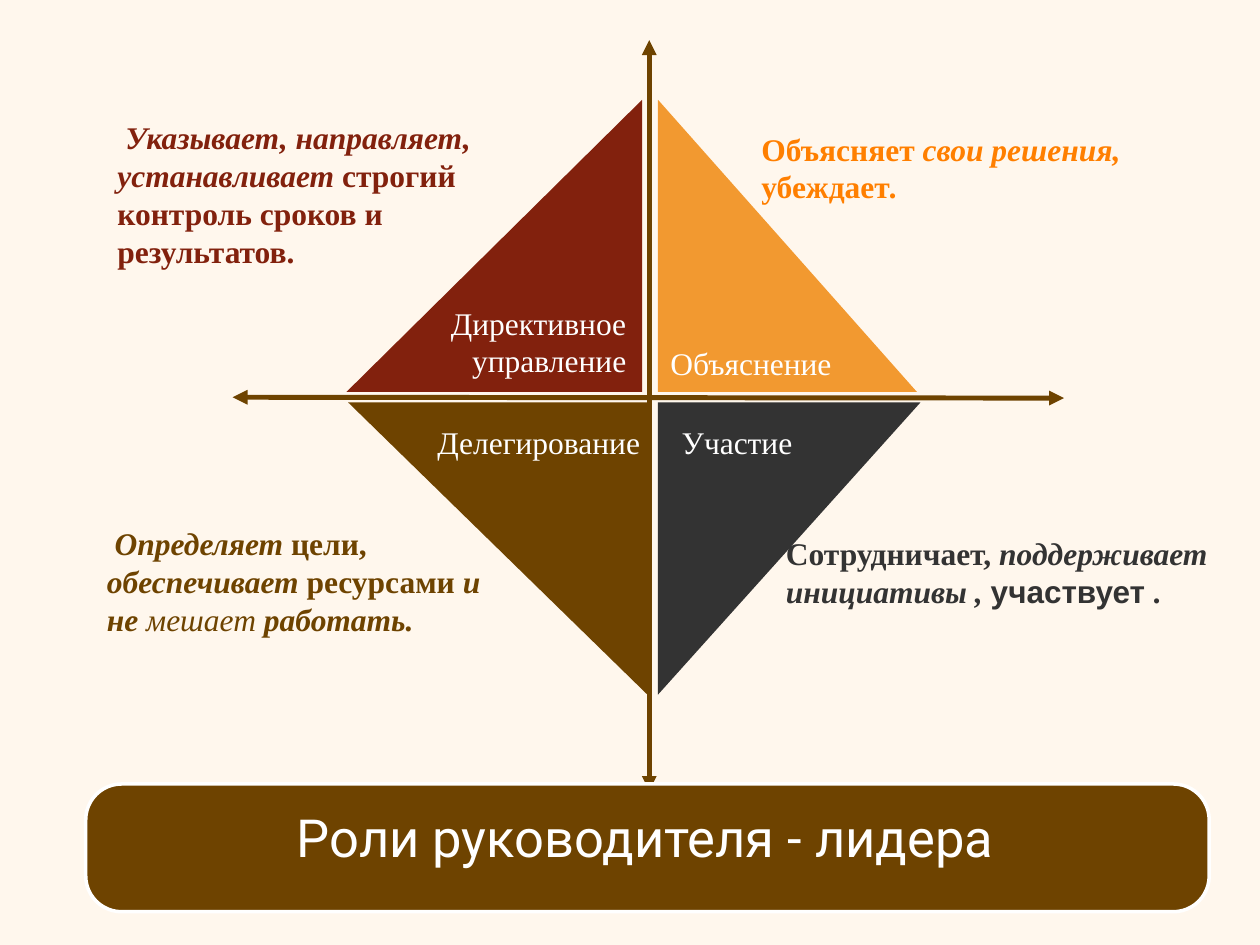
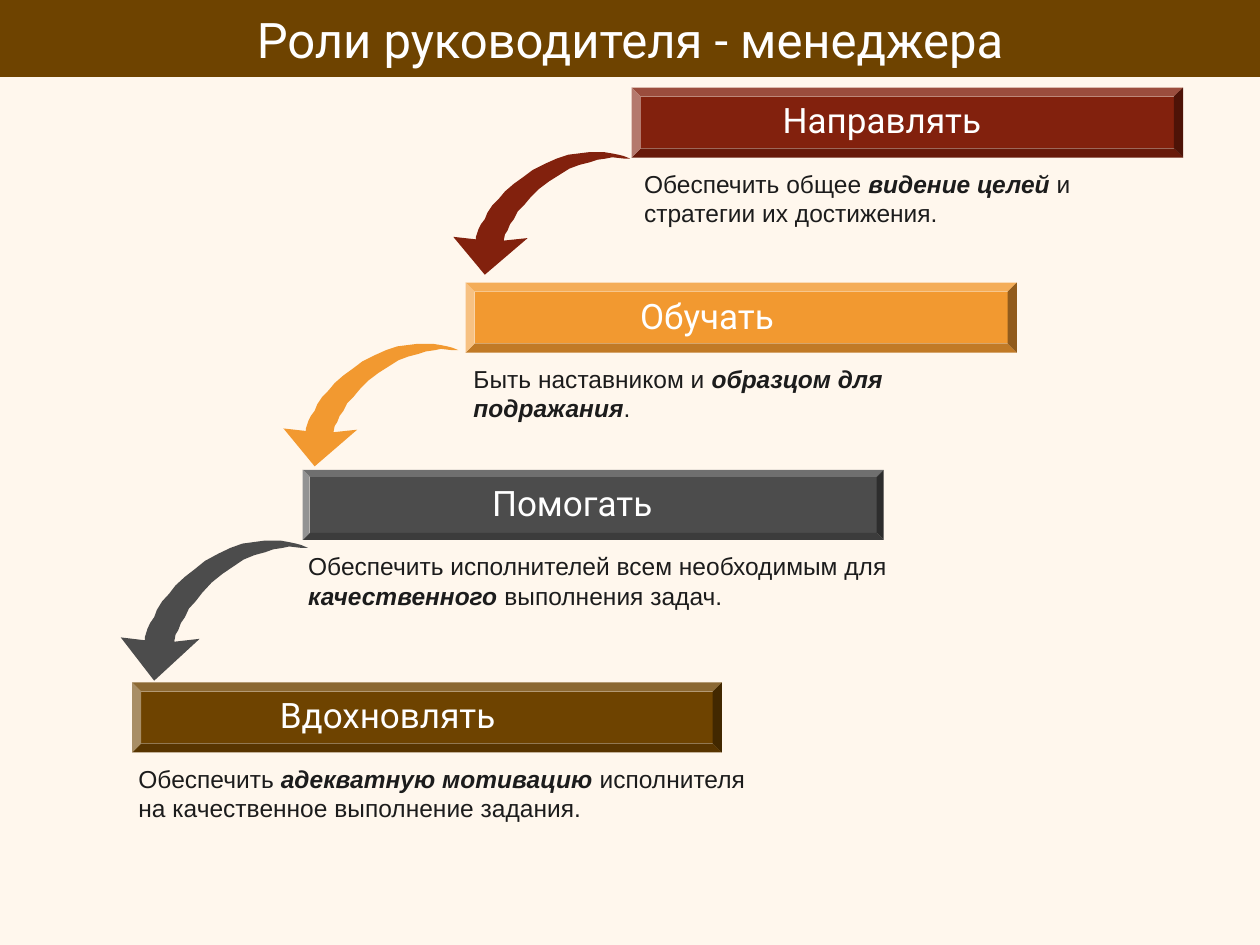
from lxml.etree import SubElement
from pptx import Presentation
from pptx.dml.color import RGBColor
from pptx.enum.shapes import MSO_CONNECTOR, MSO_SHAPE
from pptx.enum.text import MSO_ANCHOR, MSO_AUTO_SIZE, PP_ALIGN
from pptx.oxml.ns import qn
from pptx.util import Pt

CREAM = RGBColor(0xFF, 0xF7, 0xED)
WHITE = RGBColor(0xFF, 0xFF, 0xFF)
BROWN = RGBColor(0x6E, 0x43, 0x00)
RED = RGBColor(0x82, 0x21, 0x0D)
AMBER = RGBColor(0xF2, 0x99, 0x30)
ORANGE = RGBColor(0xFF, 0x7F, 0x00)
CHARCOAL = RGBColor(0x33, 0x33, 0x33)
GREY = RGBColor(0x4C, 0x4C, 0x4C)
INK = RGBColor(0x1C, 0x1C, 0x1C)

SERIF, SANS, DISPLAY = "Times New Roman", "Arial", "Roboto"

ARROW_FRAME = (140, 97)
ARROW_OUTLINE = [
    (140, 5), (135, 5), (126, 4), (121, 5), (114, 6), (108, 8), (100, 10),
    (92, 13), (84, 18), (76, 23), (68, 29), (61, 36), (56, 42), (51, 47),
    (48, 53), (45, 57), (43, 62), (41, 65), (40, 70), (59, 68), (25, 97),
    (0, 67), (18, 69), (18, 67), (19, 64), (20, 61), (22, 57), (25, 53),
    (27, 48), (31, 42), (36, 37), (41, 31), (48, 25), (55, 20), (63, 14),
    (73, 9), (82, 5), (91, 2), (99, 1), (107, 0), (120, 0), (126, 1),
    (131, 2), (135, 3),
]

# Triangle: colour, box, horizontal flip, vertical flip
QUADRANTS = [
    (RED, (198, 57, 169, 167), True, False),
    (AMBER, (376, 57, 148, 167), False, False),
    (CHARCOAL, (376, 230, 150, 167), False, True),
    (BROWN, (199, 230, 171, 167), True, True),
]

QUADRANT_LABELS = [
    ("Директивное\nуправление", (250.5, 170, 114.5, 50), PP_ALIGN.RIGHT),
    ("Делегирование", (242.5, 238, 130.5, 29), PP_ALIGN.RIGHT),
    ("Объяснение", (376, 193, 106.5, 29), PP_ALIGN.LEFT),
    ("Участие", (382.5, 238, 77.5, 29), PP_ALIGN.LEFT),
]

# Description: colour, box, first-line indent, runs
DESCRIPTIONS = [
    (ORANGE, (428, 70.5, 269, 50), 0,
     [("Объясняет", "b"), (" свои решения, ", "bi"), ("убеждает", "b"), (".", "bi")]),
    (RED, (60, 64, 269, 94), 4.5,
     [("Указывает, направляет, устанавливает", "bi"),
      (" строгий контроль сроков и результатов.", "b")]),
    (BROWN, (54, 296, 235.5, 72), 4.5,
     [("Определяет ", "bi"), ("цели,", "b"), (" обеспечивает ", "bi"), ("ресурсами ", "b"),
      ("и не ", "bi"), ("мешает", "i"), (" работать.", "bi")]),
    (CHARCOAL, (442, 301.5, 269, 50), 0,
     [("Сотрудничает,", "b"), (" поддерживает инициативы , ", "bi"),
      ("участвует ", "b", SANS), (".", "bi")]),
]

# Step: colour, bar box, bevel, label and detail positions, arrow box, label, detail
STEPS = [
    (RED, (361, 50, 315, 40), 0.13, 407.5, (361, 312.5), (259, 87, 101, 70), "Направлять",
     [("Обеспечить общее ", ""), ("видение целей", "bi"),
      (" и стратегии их достижения.", "")]),
    (AMBER, (266, 161.5, 315, 40), 0.13, 307.5, (263.5, 312.5), (162, 196.5, 100, 70), "Обучать",
     [("Быть наставником и ", ""), ("образцом для подражания", "bi"), (".", "")]),
    (GREY, (173, 268.5, 332, 40), 0.1, 230.5, (169, 350), (69, 309, 107, 80), "Помогать",
     [("Обеспечить исполнителей всем необходимым для ", ""), ("качественного ", "bi"),
      ("выполнения задач.", "")]),
    (BROWN, (75.5, 390, 337, 40), 0.13, 125, (72, 367), None, "Вдохновлять",
     [("Обеспечить ", ""), ("адекватную мотивацию ", "bi"),
      ("исполнителя на качественное выполнение задания.", "")]),
]


def write(frame, text, size=18, font=SERIF, color=WHITE, align=PP_ALIGN.LEFT,
          indent=0, spacing=None):
    """Fill a text frame with lines of plain text or one paragraph of styled runs."""
    if isinstance(text, str):
        lines = [[(line, "")] for line in text.split("\n")]
    else:
        lines = [text]
    for number, runs in enumerate(lines):
        paragraph = frame.add_paragraph() if number else frame.paragraphs[0]
        paragraph.alignment = align
        if spacing:
            paragraph.line_spacing = spacing
        if indent:
            paragraph._p.get_or_add_pPr().set("indent", str(Pt(indent)))
        for content, style, *own_font in runs:
            run = paragraph.add_run()
            run.text = content
            run.font.size = Pt(size)
            run.font.name = own_font[0] if own_font else font
            run.font.color.rgb = color
            run.font.bold = "b" in style
            run.font.italic = "i" in style


class Deck:
    """Presentation style together with the slide being drawn."""

    def __init__(self):
        """Start an empty 10 by 7.5 inch presentation."""
        self.presentation = Presentation()
        self.presentation.slide_width = Pt(720)
        self.presentation.slide_height = Pt(540)
        self.slide = None

    def add_slide(self):
        """Begin a blank slide on the cream background."""
        self.slide = self.presentation.slides.add_slide(self.presentation.slide_layouts[6])
        background = self.slide.background.fill
        background.solid()
        background.fore_color.rgb = CREAM

    def paint(self, shape, color):
        """Give a shape a flat fill without outline or shadow."""
        shape.shadow.inherit = False
        shape.fill.solid()
        shape.fill.fore_color.rgb = color
        shape.line.fill.background()
        return shape

    def shape(self, kind, box, color, adjustment=None):
        """Add a preset shape."""
        shape = self.slide.shapes.add_shape(kind, *map(Pt, box))
        if adjustment is not None:
            shape.adjustments[0] = adjustment
        return self.paint(shape, color)

    def triangle(self, box, color, flip_horizontal, flip_vertical):
        """Add a right triangle whose corner faces the crossing of the axes."""
        transform = self.shape(MSO_SHAPE.RIGHT_TRIANGLE, box, color)._element.spPr.xfrm
        transform.set("flipH", str(int(flip_horizontal)))
        transform.set("flipV", str(int(flip_vertical)))

    def axis(self, start, end):
        """Add a line with an arrowhead at both ends."""
        connector = self.slide.shapes.add_connector(
            MSO_CONNECTOR.STRAIGHT, *map(Pt, start + end))
        connector.line.color.rgb = BROWN
        connector.line.width = Pt(2.83)
        line = connector.line._get_or_add_ln()
        for tag in ("a:headEnd", "a:tailEnd"):
            SubElement(line, qn(tag), type="triangle")
        SubElement(connector._element.spPr, qn("a:effectLst"))

    def curved_arrow(self, box, color):
        """Add a curved arrow stretched to a box."""
        left, top, width, height = box
        points = [(Pt(left + x * width / ARROW_FRAME[0]), Pt(top + y * height / ARROW_FRAME[1]))
                  for x, y in ARROW_OUTLINE]
        builder = self.slide.shapes.build_freeform(*points[0])
        builder.add_line_segments(points[1:], close=True)
        self.paint(builder.convert_to_shape(), color)

    def text(self, box, text, wrap=True, **style):
        """Add a text box that grows with its text."""
        frame = self.slide.shapes.add_textbox(*map(Pt, box)).text_frame
        frame.word_wrap = wrap
        frame.auto_size = MSO_AUTO_SIZE.SHAPE_TO_FIT_TEXT
        write(frame, text, **style)

    def title_band(self, text):
        """Add the full-width title band."""
        frame = self.shape(MSO_SHAPE.RECTANGLE, (0, 0, 720, 44), BROWN).text_frame
        frame.word_wrap = True
        frame.vertical_anchor = MSO_ANCHOR.MIDDLE
        frame.margin_left = frame.margin_right = frame.margin_bottom = Pt(2)
        frame.margin_top = Pt(8)
        write(frame, text, size=28, font=DISPLAY, align=PP_ALIGN.CENTER, spacing=0.86)


def draw_leader_roles(deck):
    """Draw the four leadership roles around crossed axes."""
    deck.add_slide()
    deck.axis((371, 23), (371, 452))
    plate = deck.shape(MSO_SHAPE.ROUNDED_RECTANGLE, (49, 448, 642, 73), BROWN, 0.28)
    plate.line.color.rgb = WHITE
    plate.line.width = Pt(2)
    for color, box, flip_horizontal, flip_vertical in QUADRANTS:
        deck.triangle(box, color, flip_horizontal, flip_vertical)
    deck.axis((133, 227), (608, 227.5))
    for label, box, align in QUADRANT_LABELS:
        deck.text(box, label, wrap=False, align=align)
    deck.text((57, 456.5, 623.5, 43), "Роли руководителя - лидера",
              size=30, font=DISPLAY, align=PP_ALIGN.CENTER)
    for color, box, indent, runs in DESCRIPTIONS:
        deck.text(box, runs, color=color, indent=indent)


def draw_manager_roles(deck):
    """Draw the descending staircase of manager roles."""
    deck.add_slide()
    deck.title_band("Роли руководителя - менеджера")
    for color, bar, bevel, label_left, detail_span, arrow, label, detail in STEPS:
        top = bar[1]
        deck.shape(MSO_SHAPE.BEVEL, bar, color, bevel)
        if arrow:
            deck.curved_arrow(arrow, color)
        deck.text((label_left, top + 3, 193, 32), label,
                  size=20, font=DISPLAY, align=PP_ALIGN.CENTER)
        detail_left, detail_width = detail_span
        deck.text((detail_left, top + 43, detail_width, 41), detail,
                  size=14, font=SANS, color=INK)


def main():
    """Build and save the presentation."""
    deck = Deck()
    draw_leader_roles(deck)
    draw_manager_roles(deck)
    deck.presentation.save("out.pptx")


if __name__ == "__main__":
    main()
